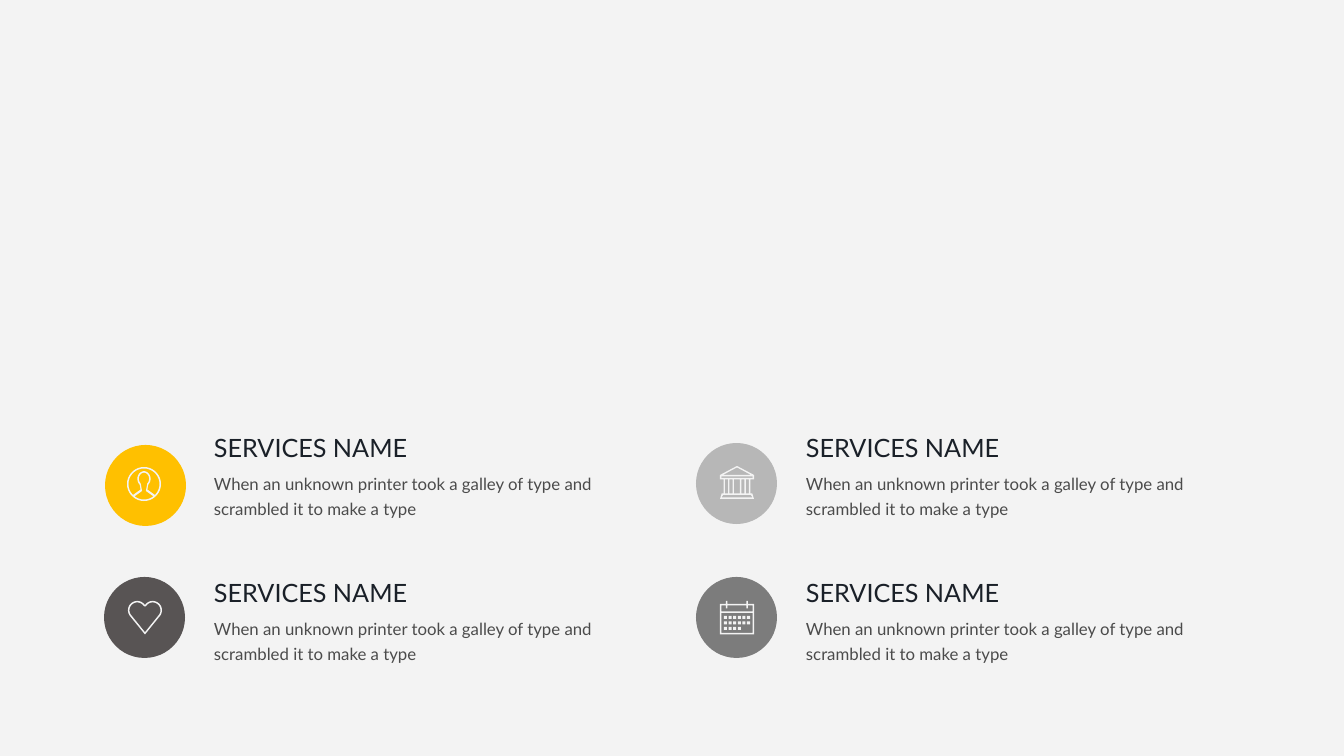
from math import cos, radians, sin

from pptx import Presentation
from pptx.dml.color import RGBColor
from pptx.enum.shapes import MSO_SHAPE
from pptx.enum.text import MSO_AUTO_SIZE
from pptx.util import Pt

OVAL = MSO_SHAPE.OVAL
GROW = MSO_AUTO_SIZE.SHAPE_TO_FIT_TEXT
FIXED = MSO_AUTO_SIZE.NONE

PX = 914400 / 100.8
FONT = "Lato"
PAPER = "F3F3F3"
BLURB = "When an unknown printer took a galley of type and scrambled it to make a type"
SERVICES = [
    ("SERVICES NAME", BLURB, "FFC000", (105, 445), "person", (127, 467)),
    ("SERVICES NAME", BLURB, "B7B7B7", (696, 443), "bank", (720, 466)),
    ("SERVICES NAME", BLURB, "585454", (104, 577), "heart", (128, 601)),
    ("SERVICES NAME", BLURB, "7C7C7C", (696, 577), "calendar", (720, 601)),
]
TEXT_X, TEXT_Y = 214, 432
COLUMN_STEP, ROW_STEP = 592, 145
BODY_DROP = 37
DISC = 81
ICON = 34
MID = ICON / 2
STROKE = 1.5
CALENDAR_DAYS = [6, 6, 4]


def arc(cx, cy, rx, ry, start=0, end=360):
    count = 36
    angles = [radians(start + (end - start) * i / count) for i in range(count + 1)]
    return [(cx + rx * cos(a), cy + ry * sin(a)) for a in angles]


def box(x, y, w, h):
    return [(x, y), (x + w, y), (x + w, y + h), (x, y + h)]


def frame(x, y, w, h):
    return [box(x, y, w, h), box(x + STROKE, y + STROKE, w - 2 * STROKE, h - 2 * STROKE)]


def outlined(outline):
    return [outline(0), outline(STROKE)]


def circle(inset):
    return arc(MID, MID, MID - inset, MID - inset)


def bust(inset):
    neck, neck_y = 3.4 - inset, 22.5 + inset
    head = arc(MID, 11.8, 6.6 - inset, 7.6 - inset, 130, 410)
    rim = MID - STROKE
    shoulder = 45 + 5 * inset
    chest = arc(MID, MID, rim, rim, shoulder, 180 - shoulder)
    return head + [(MID + neck, neck_y)] + chest + [(MID - neck, neck_y)]


def heart(inset):
    lobe, spread = 9.3, 7.7
    r = lobe - inset
    left = arc(MID - spread, lobe, r, r, 141, 326)
    right = arc(MID + spread, lobe, r, r, 214, 399)
    return left + [(MID, 4.1 + inset)] + right + [(MID, 33.5 - 1.5 * inset)]


def roof(inset):
    half = MID - 2 * inset
    return [(MID - half, 9), (MID, inset), (MID + half, 9)]


def steps(inset):
    top, bottom = 15.3 - inset, MID - inset
    y1, y2 = 27.5 + inset, 33 - inset
    return [(MID - top, y1), (MID + top, y1), (MID + bottom, y2), (MID - bottom, y2)]


def columns():
    bar = 1.4
    offsets = [3 + 4.5 * i for i in range(3)]
    lefts = [MID + offset for offset in offsets] + [MID - offset - bar for offset in offsets]
    return [box(left, 13.5, bar, 14) for left in lefts]


def calendar():
    header = box(STROKE, 4.5, ICON - 2 * STROKE, 6)
    page = box(STROKE, 12, ICON - 2 * STROKE, 20)
    rings = [box(x, y, STROKE, 3) for x in (6, 26.5) for y in (0, 4.5)]
    days = [box(4 + 4.6 * day, 15 + 5.5 * week, 3, 3)
            for week, count in enumerate(CALENDAR_DAYS) for day in range(count)]
    return [box(0, 3, ICON, 30.5), header, page] + rings + days


ICONS = {
    "person": outlined(circle) + outlined(bust),
    "bank": outlined(roof) + frame(0, 9, ICON, 4.5) + columns() + outlined(steps),
    "heart": outlined(heart),
    "calendar": calendar(),
}


def px(n):
    return round(n * PX)


def rgb(value):
    return RGBColor.from_string(value)


def paint(sp, color):
    sp.shadow.inherit = False
    sp.fill.solid()
    sp.fill.fore_color.rgb = rgb(color)
    sp.line.fill.background()


def add_text(s, text, x, y, w, h, size, color, wrap=True, fit=FIXED, spacing=None):
    tf = s.shapes.add_textbox(px(x), px(y), px(w), px(h)).text_frame
    tf.margin_left = tf.margin_top = tf.margin_right = tf.margin_bottom = 0
    tf.word_wrap = wrap
    tf.auto_size = fit
    p = tf.paragraphs[0]
    p.line_spacing = spacing
    r = p.add_run()
    r.text = text
    r.font.name = FONT
    r.font.size = Pt(size)
    r.font.color.rgb = rgb(color)


def add_icon(s, contours, x, y):
    outlines = [[(px(x + a), px(y + b)) for a, b in contour] for contour in contours]
    builder = s.shapes.build_freeform(*outlines[0][0])
    for i, points in enumerate(outlines):
        if i:
            builder.move_to(*points[0])
        builder.add_line_segments(points[1:], close=True)
    paint(builder.convert_to_shape(), PAPER)


def main():
    prs = Presentation()
    prs.slide_width, prs.slide_height = px(1344), px(756)
    s = prs.slides.add_slide(prs.slide_layouts[6])
    s.background.fill.solid()
    s.background.fill.fore_color.rgb = rgb(PAPER)
    for i, (name, blurb, color, disc_at, icon, icon_at) in enumerate(SERVICES):
        row, column = divmod(i, 2)
        x, y = TEXT_X + column * COLUMN_STEP, TEXT_Y + row * ROW_STEP
        disc = s.shapes.add_shape(OVAL, px(disc_at[0]), px(disc_at[1]), px(DISC), px(DISC))
        paint(disc, color)
        add_icon(s, ICONS[icon], *icon_at)
        add_text(s, name, x, y, 197, 30, 18, "1A2028", wrap=False, fit=GROW)
        add_text(s, blurb, x, y + BODY_DROP, 423, 55, 12, "4B4B4B", spacing=1.25)
    prs.save("out.pptx")


if __name__ == "__main__":
    main()
